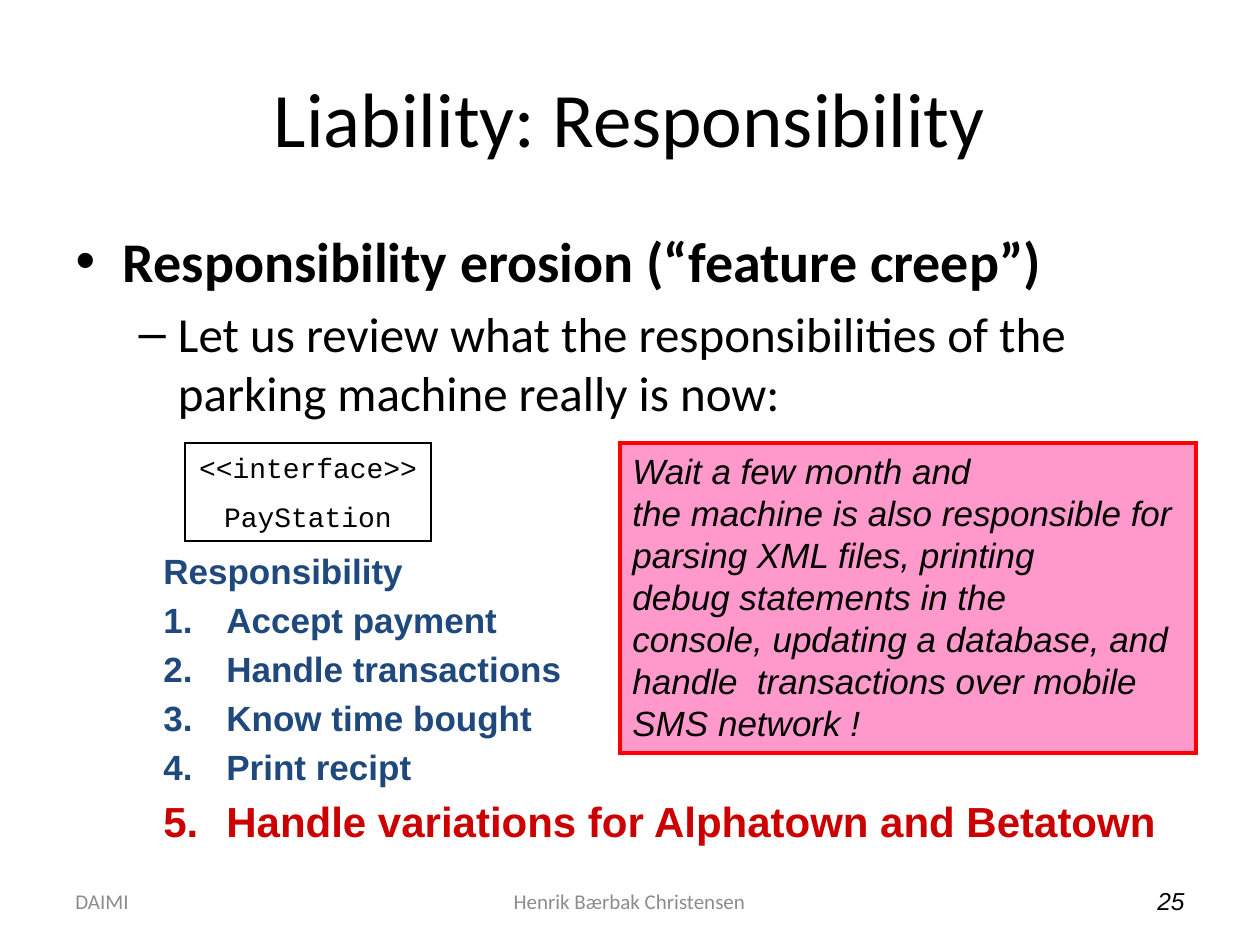
"""Build the slide on responsibility erosion of the parking machine."""
from lxml.etree import SubElement
from pptx import Presentation
from pptx.dml.color import RGBColor
from pptx.enum.shapes import MSO_SHAPE as Shape
from pptx.enum.text import MSO_ANCHOR as Anchor, PP_ALIGN as Align
from pptx.oxml.ns import qn
from pptx.util import Emu, Pt

COLORS = {"black": "000000", "gray": "8C8C8C", "blue": "1F497D",
          "crimson": "CC0000", "red": "FF0000", "pink": "FF99CC"}
TITLE = "Liability: Responsibility"
BODY = [
    ("Responsibility erosion (“feature creep”)", 0, 32, True),
    ("Let us review what the responsibilities of the parking machine really is now:", 1, 28, False),
]
INTERFACE = ["<<interface>>", "PayStation"]
RESPONSIBILITIES = [
    ("Responsibility", False, 20, "blue"),
    ("Accept payment", True, 20, "blue"),
    ("Handle transactions", True, 20, "blue"),
    ("Know time bought", True, 20, "blue"),
    ("Print recipt", True, 20, "blue"),
    ("Handle variations for Alphatown and Betatown", True, 24, "crimson"),
]
WARNING = [
    "Wait a few month and",
    "the machine is also responsible for parsing XML files, printing",
    "debug statements in the",
    "console, updating a database, and handle  transactions over mobile SMS network !",
]
FOOTERS = [
    ("DAIMI", 63, 294, Align.LEFT, dict(size=12, color="gray")),
    ("Henrik Bærbak Christensen", 430, 399, Align.CENTER, dict(size=12, color="gray")),
    ("25", 903, 294, Align.RIGHT, dict(size=14, font="Arial", italic=True)),
]


def px(value):
    return Emu(round(value * 914400 / 126))


def area(*values):
    return [px(value) for value in values]


def move(shape, *values):
    shape.left, shape.top, shape.width, shape.height = area(*values)


def write(frame, text, size=20, font="Calibri", color="black", bold=False, italic=False,
          align=None, before=None, level=0):
    paragraph = frame.paragraphs[0]
    if paragraph.runs:
        paragraph = frame.add_paragraph()
    paragraph.level = level
    paragraph.alignment = align
    if before is not None:
        paragraph.space_before = Pt(before)
    run = paragraph.add_run()
    run.text = text
    run.font.size, run.font.name = Pt(size), font
    run.font.bold, run.font.italic = bold, italic
    run.font.color.rgb = RGBColor.from_string(COLORS[color])
    return paragraph


def hang(paragraph, indent, numbered):
    properties = paragraph._p.get_or_add_pPr()
    properties.set("marL", str(indent))
    properties.set("indent", str(-indent))
    if numbered:
        SubElement(properties, qn("a:buFont"), typeface="+mj-lt")
        SubElement(properties, qn("a:buAutoNum"), type="arabicPeriod")


def add_box(slide, place, line, width, fill=None):
    shape = slide.shapes.add_shape(Shape.RECTANGLE, *area(*place))
    shape.shadow.inherit = False
    if fill:
        shape.fill.solid()
        shape.fill.fore_color.rgb = RGBColor.from_string(COLORS[fill])
    else:
        shape.fill.background()
    shape.line.color.rgb = RGBColor.from_string(COLORS[line])
    shape.line.width = Pt(width)
    SubElement(shape.line._get_or_add_ln(), qn("a:miter"), lim="800000")
    return shape.text_frame


def main():
    presentation = Presentation()
    presentation.slide_width, presentation.slide_height = area(1260, 945)
    slide = presentation.slides.add_slide(presentation.slide_layouts[1])

    title, body = slide.placeholders
    move(title, 63, 38, 1134, 157)
    write(title.text_frame, TITLE, size=44, align=Align.CENTER)
    move(body, 63, 220, 1134, 624)
    for text, level, size, bold in BODY:
        write(body.text_frame, text, size=size, bold=bold, level=level)

    for text, left, width, align, style in FOOTERS:
        frame = slide.shapes.add_textbox(*area(left, 876, width, 50)).text_frame
        frame.word_wrap, frame.vertical_anchor = True, Anchor.MIDDLE
        write(frame, text, align=align, **style)

    frame = add_box(slide, (185, 443, 246, 98), "black", 0.75)
    frame.word_wrap, frame.vertical_anchor = False, Anchor.MIDDLE
    for text in INTERFACE:
        write(frame, text, size=16, font="Courier New", align=Align.CENTER, before=8.5)

    frame = slide.shapes.add_textbox(*area(151, 543, 1019, 316)).text_frame
    frame.word_wrap = False
    for text, numbered, size, color in RESPONSIBILITIES:
        paragraph = write(frame, text, size=size, font="Arial", color=color, bold=True,
                          before=round(size * 0.2))
        hang(paragraph, px(63), numbered)

    frame = add_box(slide, (620, 443, 576, 310), "red", 2.25, fill="pink")
    frame.word_wrap, frame.vertical_anchor = True, Anchor.TOP
    for text in WARNING:
        write(frame, text, font="Arial", italic=True, align=Align.LEFT)

    presentation.save("out.pptx")


if __name__ == "__main__":
    main()
